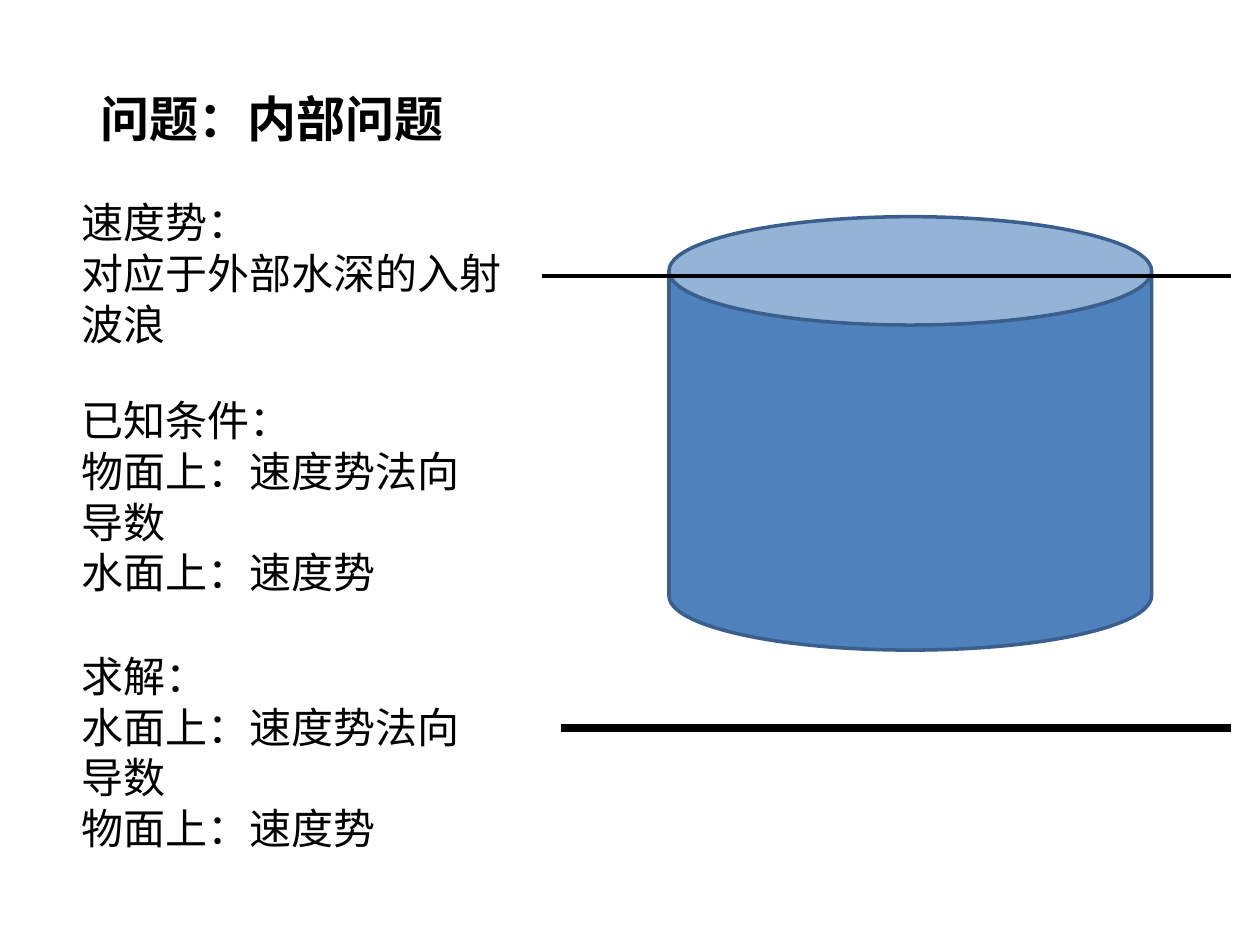
from lxml.etree import SubElement
from pptx import Presentation
from pptx.dml.color import RGBColor
from pptx.enum.shapes import MSO_CONNECTOR, MSO_SHAPE
from pptx.enum.text import MSO_ANCHOR, MSO_AUTO_SIZE, PP_ALIGN
from pptx.oxml.ns import qn
from pptx.util import Inches, Pt

FONT = "Noto Sans CJK SC"
COLORS = {"text": "000000", "line": "000000", "cylinder": "4F81BD", "outline": "3A5F8C"}

TITLE = ("问题：内部问题", (0.7, 0.62, 5.39, 0.57))
NOTES = [
    ((0.55, 1.48, 3.67, 1.31), ["速度势： ", "对应于外部水深的入射波浪"]),
    ((0.55, 3.05, 3.36, 1.72), ["已知条件：", "物面上：速度势法向导数", "水面上：速度势"]),
    ((0.55, 5.08, 3.36, 1.72), ["求解：", "水面上：速度势法向导数", "物面上：速度势"]),
]
CYLINDER = (5.31, 1.72, 3.83, 3.44)
LINES_RIGHT = 9.77
SEABED = (4.45, 5.78, 4.5)
WATER_SURFACE = (4.3, 2.19, 2.25)


def color(name):
    return RGBColor.from_string(COLORS[name])


def inches(values):
    return [Inches(value) for value in values]


def write_text(shape, lines, size, line_height, bold=False):
    frame = shape.text_frame
    frame.word_wrap = True
    frame.auto_size = MSO_AUTO_SIZE.SHAPE_TO_FIT_TEXT
    frame.vertical_anchor = MSO_ANCHOR.TOP
    frame.margin_top = Inches(0.08)
    frame.margin_bottom = Inches(0.02)
    for index, line in enumerate(lines):
        paragraph = frame.paragraphs[0] if index == 0 else frame.add_paragraph()
        paragraph.alignment = PP_ALIGN.LEFT
        paragraph.line_spacing = Pt(line_height)
        paragraph.space_before = Pt(0)
        run = paragraph.add_run()
        run.text = line
        run.font.size = Pt(size)
        run.font.bold = bold
        run.font.color.rgb = color("text")
        run.font.name = FONT
        SubElement(run.font._element, qn("a:ea"), typeface=FONT)


def add_line(slide, left, height, width):
    connector = slide.shapes.add_connector(
        MSO_CONNECTOR.STRAIGHT, *inches((left, height, LINES_RIGHT, height)))
    connector.line.color.rgb = color("line")
    connector.line.width = Pt(width)
    SubElement(connector._element.spPr, qn("a:effectLst"))


presentation = Presentation()
presentation.slide_width = Inches(10)
presentation.slide_height = Inches(7.5)
slide = presentation.slides.add_slide(presentation.slide_layouts[5])

cylinder = slide.shapes.add_shape(MSO_SHAPE.CAN, *inches(CYLINDER))
cylinder.shadow.inherit = False
cylinder.fill.solid()
cylinder.fill.fore_color.rgb = color("cylinder")
cylinder.line.color.rgb = color("outline")
cylinder.line.width = Pt(2)

for line in (SEABED, WATER_SURFACE):
    add_line(slide, *line)

title = slide.shapes.title
title_text, title_place = TITLE
title.left, title.top, title.width, title.height = inches(title_place)
write_text(title, [title_text], 28, 34, bold=True)

for place, lines in NOTES:
    write_text(slide.shapes.add_textbox(*inches(place)), lines, 24, 29)

presentation.save("out.pptx")
